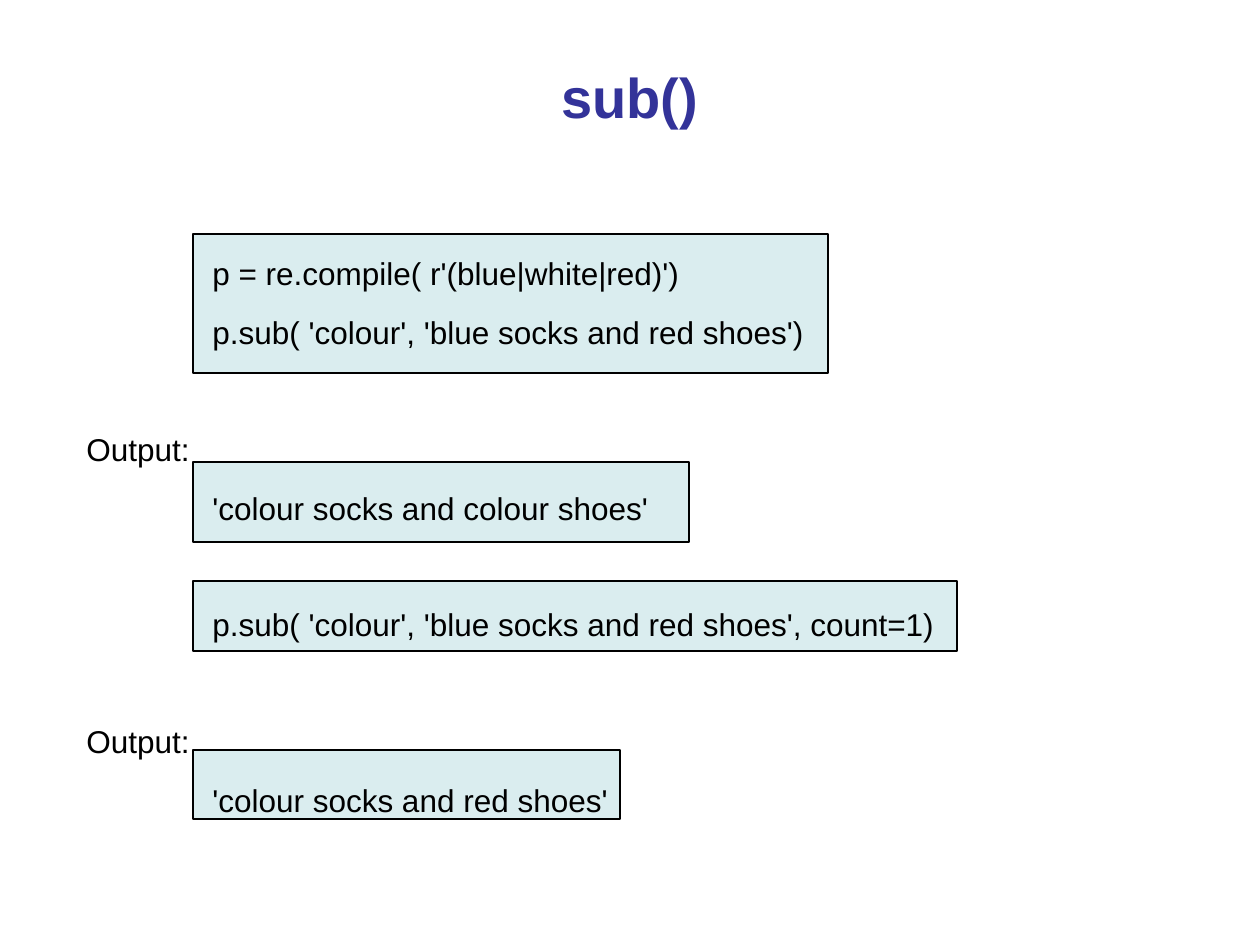
import pptx
import pptx.util
import pptx.dml.color
import pptx.enum.shapes
import pptx.enum.text
import pptx.oxml.ns
import lxml.etree

INK = pptx.dml.color.RGBColor(0x00, 0x00, 0x00)
NAVY = pptx.dml.color.RGBColor(0x33, 0x33, 0x99)
PALE = pptx.dml.color.RGBColor(0xDA, 0xED, 0xEF)
FONT = "Arial"

# Content: rows down from the line above, then the text
TITLE = "sub()"
LINES = [
    (0, "\tp = re.compile( r'(blue|white|red)')"),
    (1, "\tp.sub( 'colour', 'blue socks and red shoes')"),
    (2, "Output:"),
    (1, "\t'colour socks and colour shoes'"),
    (2, "\tp.sub( 'colour', 'blue socks and red shoes', count=1)"),
    (2, "Output:"),
    (1, "\t'colour socks and red shoes'"),
]
# Code panels: top, width, height
PANELS = [(234, 635, 139), (462, 496, 80), (581, 764, 70), (750, 427, 69)]
LEFT = 193
PITCH, HEIGHT = 32.83, 20.68  # row step and line height, pt


def px(n):
    return pptx.util.Emu(round(n * 914400 / 126))


def style(para, size, color, bold=False):
    for run in para.runs:
        run.font.name = FONT
        run.font.size = pptx.util.Pt(size)
        run.font.bold = bold
        run.font.color.rgb = color


def add_box(slide, *place):
    frame = slide.shapes.add_textbox(*map(px, place)).text_frame
    frame.word_wrap = True
    return frame


def add_tab(para, pos):
    tag = pptx.oxml.ns.qn
    tabs = lxml.etree.SubElement(para._p.get_or_add_pPr(), tag("a:tabLst"))
    lxml.etree.SubElement(tabs, tag("a:tab"), pos=str(pos), algn="l")


def main():
    deck = pptx.Presentation()
    deck.slide_width, deck.slide_height = px(1260), px(945)
    slide = deck.slides.add_slide(deck.slide_layouts[6])

    # Panels behind the code
    for top, wide, high in PANELS:
        panel = slide.shapes.add_shape(
            pptx.enum.shapes.MSO_SHAPE.RECTANGLE,
            px(LEFT), px(top), px(wide), px(high))
        panel.shadow.inherit = False
        panel.fill.solid()
        panel.fill.fore_color.rgb = PALE
        panel.line.color.rgb = INK
        panel.line.width = pptx.util.Pt(0.75)

    # Title
    frame = add_box(slide, 63, 38, 1134, 117)
    frame.vertical_anchor = pptx.enum.text.MSO_ANCHOR.MIDDLE
    frame.text = TITLE
    head = frame.paragraphs[0]
    head.alignment = pptx.enum.text.PP_ALIGN.CENTER
    style(head, 32, NAVY, True)

    # Code and output on one row grid
    frame = add_box(slide, 74, 248, 1111, 568)
    for i, (rows, text) in enumerate(LINES):
        para = frame.add_paragraph() if i else frame.paragraphs[0]
        para.text = text
        add_tab(para, px(126))
        if rows:
            para.space_before = pptx.util.Pt(rows * PITCH - HEIGHT)
        style(para, 18, INK)

    deck.save("out.pptx")


if __name__ == "__main__":
    main()
